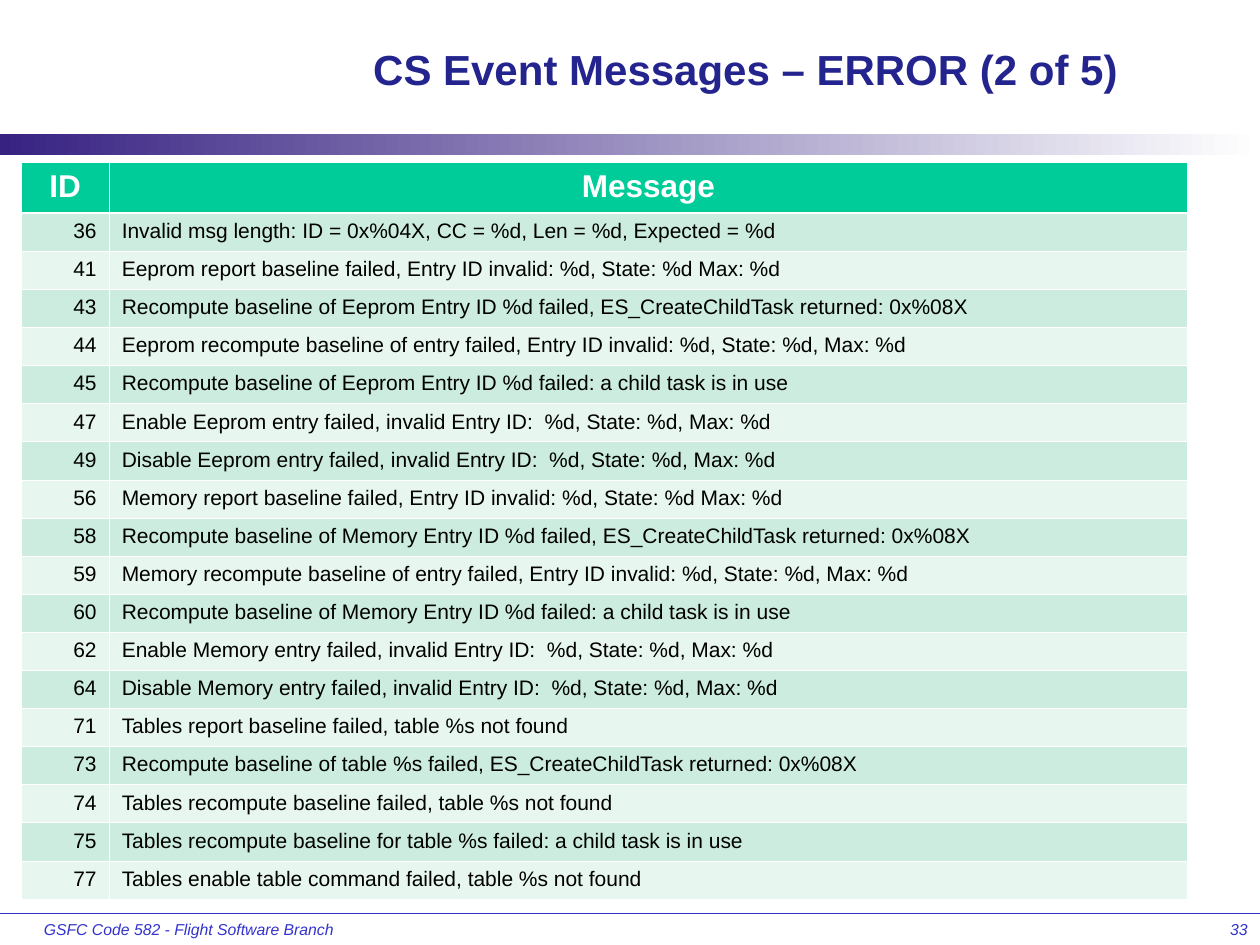
from lxml import etree
from pptx import Presentation
from pptx.dml.color import RGBColor
from pptx.enum.shapes import MSO_CONNECTOR, MSO_SHAPE
from pptx.enum.text import MSO_ANCHOR, PP_ALIGN
from pptx.oxml.ns import qn
from pptx.util import Inches, Pt

LEFT, CENTER, RIGHT = PP_ALIGN.LEFT, PP_ALIGN.CENTER, PP_ALIGN.RIGHT
TOP, MIDDLE = MSO_ANCHOR.TOP, MSO_ANCHOR.MIDDLE
STRAIGHT, RECTANGLE = MSO_CONNECTOR.STRAIGHT, MSO_SHAPE.RECTANGLE

COLS, ROWS = 120, 90
HEADER_ROW, BODY_ROW = 4.8, 3.63
MESSAGES = [
    ("36", "Invalid msg length: ID = 0x%04X, CC = %d, Len = %d, Expected = %d"),
    ("41", "Eeprom report baseline failed, Entry ID invalid: %d, State: %d Max: %d"),
    ("43", "Recompute baseline of Eeprom Entry ID %d failed, ES_CreateChildTask returned: 0x%08X"),
    ("44", "Eeprom recompute baseline of entry failed, Entry ID invalid: %d, State: %d, Max: %d"),
    ("45", "Recompute baseline of Eeprom Entry ID %d failed: a child task is in use"),
    ("47", "Enable Eeprom entry failed, invalid Entry ID:  %d, State: %d, Max: %d"),
    ("49", "Disable Eeprom entry failed, invalid Entry ID:  %d, State: %d, Max: %d"),
    ("56", "Memory report baseline failed, Entry ID invalid: %d, State: %d Max: %d"),
    ("58", "Recompute baseline of Memory Entry ID %d failed, ES_CreateChildTask returned: 0x%08X"),
    ("59", "Memory recompute baseline of entry failed, Entry ID invalid: %d, State: %d, Max: %d"),
    ("60", "Recompute baseline of Memory Entry ID %d failed: a child task is in use"),
    ("62", "Enable Memory entry failed, invalid Entry ID:  %d, State: %d, Max: %d"),
    ("64", "Disable Memory entry failed, invalid Entry ID:  %d, State: %d, Max: %d"),
    ("71", "Tables report baseline failed, table %s not found"),
    ("73", "Recompute baseline of table %s failed, ES_CreateChildTask returned: 0x%08X"),
    ("74", "Tables recompute baseline failed, table %s not found"),
    ("75", "Tables recompute baseline for table %s failed: a child task is in use"),
    ("77", "Tables enable table command failed, table %s not found"),
]


def rgb(value):
    return RGBColor.from_string(value)


def write(tf, text, size=12, color="000000", bold=False, italic=False, align=LEFT, font="Arial"):
    p = tf.paragraphs[0]
    p.alignment = align
    r = p.add_run()
    r.text = text
    r.font.name, r.font.size = font, Pt(size)
    r.font.bold, r.font.italic = bold, italic
    r.font.color.rgb = rgb(color)


class Deck:
    accent, title_color, white = "3333CC", "24248E", "FFFFFF"
    header_fill, bands = "00CC99", ("CBECDE", "E7F6EF")
    thin, thick = 0.45, 1.47

    def __init__(self):
        self.prs = Presentation()
        self.prs.slide_width, self.prs.slide_height = Inches(10), Inches(7.5)
        self.s = self.prs.slides.add_slide(self.prs.slide_layouts[6])

    def x(self, cols):
        return round(self.prs.slide_width * cols / COLS)

    def y(self, rows):
        return round(self.prs.slide_height * rows / ROWS)

    def box(self, col, row, width, height):
        return self.x(col), self.y(row), self.x(width), self.y(height)

    def text(self, place, text, anchor=TOP, wrap=True, **style):
        tf = self.s.shapes.add_textbox(*self.box(*place)).text_frame
        tf.word_wrap, tf.vertical_anchor = wrap, anchor
        write(tf, text, **style)

    def rule(self, row):
        sp = self.s.shapes.add_connector(STRAIGHT, 0, self.y(row), self.x(COLS), self.y(row))
        sp.line.color.rgb, sp.line.width = rgb(self.accent), Pt(0.75)
        etree.SubElement(sp._element.spPr, qn("a:effectLst"))

    def gradient_bar(self, place, colors):
        sp = self.s.shapes.add_shape(RECTANGLE, *self.box(*place))
        sp.shadow.inherit = False
        sp.line.fill.background()
        sp.fill.gradient()
        sp.fill.gradient_angle = 0
        for stop, color, position in zip(sp.fill.gradient_stops, colors, (0, 1)):
            stop.color.rgb, stop.position = rgb(color), position

    def borders(self, cell, top, bottom):
        tc_pr = cell._tc.get_or_add_tcPr()
        sides = (("L", self.thin), ("R", self.thin), ("T", top), ("B", bottom))
        for i, (side, width) in enumerate(sides):
            ln = etree.Element(qn(f"a:ln{side}"), w=str(Pt(width)))
            fill = etree.SubElement(ln, qn("a:solidFill"))
            etree.SubElement(fill, qn("a:srgbClr"), val=self.white)
            tc_pr.insert(i, ln)

    def cell(self, cell, text, fill, top, bottom, **style):
        write(cell.text_frame, text, **style)
        cell.fill.solid()
        cell.fill.fore_color.rgb = rgb(fill)
        self.borders(cell, top, bottom)

    def table(self, col, row, widths, header, records):
        heights = [HEADER_ROW] + [BODY_ROW] * len(records)
        place = self.box(col, row, sum(widths), sum(heights))
        table = self.s.shapes.add_table(len(heights), len(widths), *place).table
        for column, width in zip(table.columns, widths):
            column.width = self.x(width)
        for line, height in zip(table.rows, heights):
            line.height = self.y(height)
        for c, text in enumerate(header):
            self.cell(table.cell(0, c), text, self.header_fill, self.thin, self.thick,
                      size=18, color=self.white, bold=True, align=CENTER)
        for i, record in enumerate(records):
            top = self.thin if i else self.thick
            for c, (text, align) in enumerate(zip(record, (RIGHT, LEFT))):
                self.cell(table.cell(i + 1, c), text, self.bands[i % 2], top, self.thin, align=align)


def main():
    deck = Deck()
    footer = dict(size=9, color=deck.accent, italic=True)
    deck.rule(87)
    deck.gradient_bar((0, 12.75, COLS, 2), ("372282", deck.white))
    deck.text((3, 87, 30, 3), "GSFC Code 582 - Flight Software Branch", wrap=False, **footer)
    deck.text((95, 87, 25, 3), "33", align=RIGHT, **footer)
    deck.text((25, 2, 92, 9.1), "CS Event Messages – ERROR (2 of 5)", anchor=MIDDLE,
              size=24, color=deck.title_color, bold=True, align=CENTER)
    deck.table(2, 15.5, (8.4, 102.7), ("ID", "Message"), MESSAGES)
    deck.prs.save("out.pptx")


if __name__ == "__main__":
    main()
